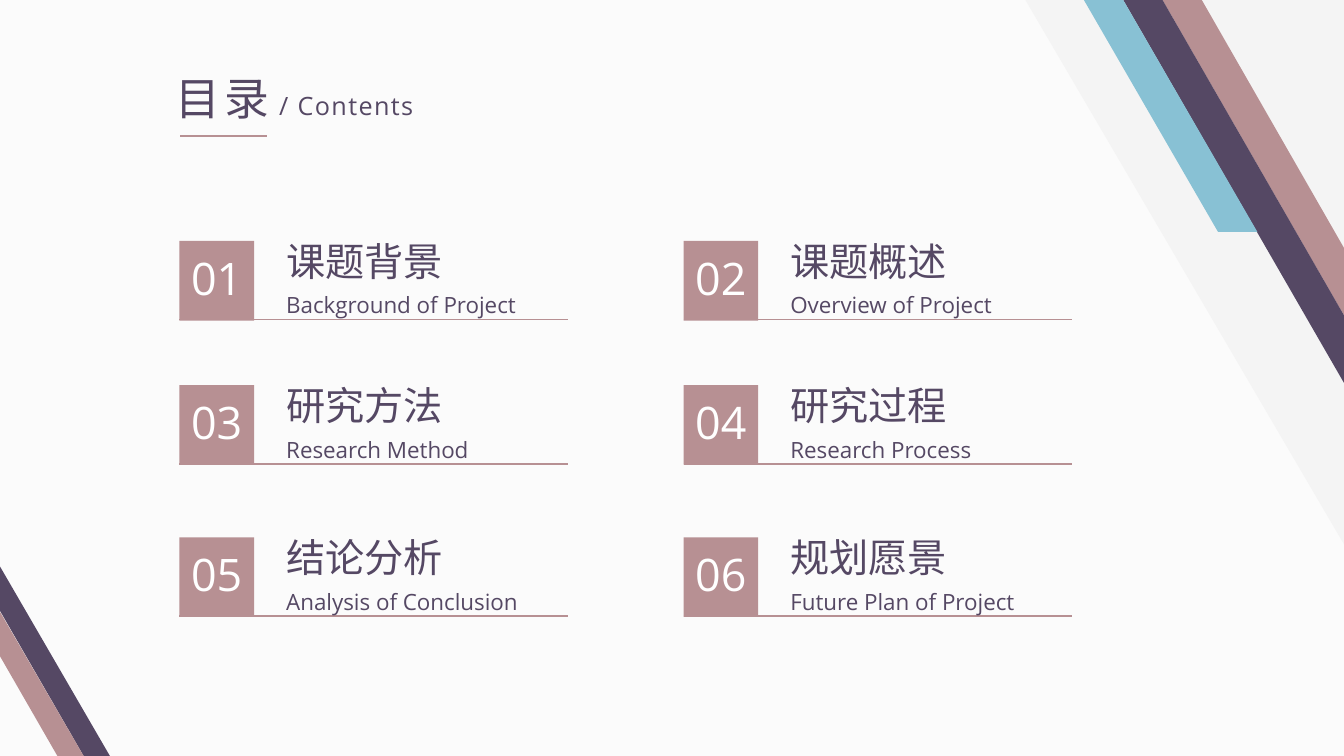
"""Build a contents slide with six numbered sections and diagonal corner bands."""
import pptx
import pptx.dml.color
import pptx.enum.shapes
import pptx.enum.text
import pptx.oxml
import pptx.oxml.ns
import pptx.util

Inches = pptx.util.Inches
Pt = pptx.util.Pt
RGBColor = pptx.dml.color.RGBColor
Anchor = pptx.enum.text.MSO_ANCHOR
Align = pptx.enum.text.PP_ALIGN
AutoSize = pptx.enum.text.MSO_AUTO_SIZE

PAPER = RGBColor(0xFB, 0xFB, 0xFB)
PALE = RGBColor(0xF4, 0xF4, 0xF4)
ROSE = RGBColor(0xB7, 0x90, 0x93)
PLUM = RGBColor(0x55, 0x48, 0x64)
SKY = RGBColor(0x88, 0xC1, 0xD4)
WHITE = RGBColor(0xFF, 0xFF, 0xFF)
LATIN = "Open Sans"
CHINESE = "Noto Sans CJK SC"
WIDTH, HEIGHT = 13.33, 7.5


def write(shape, text, size, font, color=PLUM, anchor=Anchor.MIDDLE, spacing=0, fit=False):
    """Put one formatted line of text into a shape and return its paragraph."""
    frame = shape.text_frame
    frame.text = text
    frame.vertical_anchor = anchor
    frame.word_wrap = not fit
    frame.auto_size = AutoSize.SHAPE_TO_FIT_TEXT if fit else AutoSize.NONE
    paragraph = frame.paragraphs[0]
    paragraph.alignment = Align.LEFT
    run = paragraph.runs[0]
    run.font.size = Pt(size)
    run.font.name = font
    run.font.color.rgb = color
    properties = run.font._element
    if spacing:
        properties.set("spc", str(spacing * 100))
    if font != LATIN:
        east_asian = pptx.oxml.parse_xml(
            f'<a:ea {pptx.oxml.ns.nsdecls("a")} typeface="{CHINESE}"/>')
        properties.find(pptx.oxml.ns.qn("a:latin")).addnext(east_asian)
    return paragraph


def rule(shapes, left, right, y, weight):
    """Draw a horizontal rose line without a shadow."""
    line = shapes.add_connector(
        pptx.enum.shapes.MSO_CONNECTOR.STRAIGHT,
        Inches(left), Inches(y), Inches(right), Inches(y))
    line.line.color.rgb = ROSE
    line.line.width = Pt(weight)
    line._element.spPr.append(
        pptx.oxml.parse_xml(f'<a:effectLst {pptx.oxml.ns.nsdecls("a")}/>'))


deck = pptx.Presentation()
deck.slide_width = Inches(WIDTH)
deck.slide_height = Inches(HEIGHT)
slide = deck.slides.add_slide(deck.slide_layouts[5])
shapes = slide.shapes
slide.background.fill.solid()
slide.background.fill.fore_color.rgb = PAPER

bands = [
    (PALE, [(WIDTH, 5.4), (10.17, 0), (WIDTH, 0)]),
    (ROSE, [(11.53, 0), (11.92, 0), (WIDTH, 2.46), (WIDTH, 3.13)]),
    (PLUM, [(11.14, 0), (11.53, 0), (WIDTH, 3.13), (WIDTH, 3.8)]),
    (SKY, [(10.75, 0), (11.14, 0), (12.47, 2.3), (12.08, 2.3)]),
    (PLUM, [(0, 5.62), (1.09, HEIGHT), (0.83, HEIGHT), (0, 6.06)]),
    (ROSE, [(0, 6.07), (0.83, HEIGHT), (0.57, HEIGHT), (0, 6.51)]),
]
for color, corners in bands:
    points = [(Inches(x), Inches(y)) for x, y in corners]
    outline = shapes.build_freeform(*points[0])
    outline.add_line_segments(points[1:], close=True)
    band = outline.convert_to_shape()
    band.fill.solid()
    band.fill.fore_color.rgb = color
    band.line.fill.background()
    band.shadow.inherit = False

title = shapes.title
title.left, title.top = Inches(1.64), Inches(0.65)
title.width, title.height = Inches(1.18), Inches(0.64)
write(title, "目录", 32, CHINESE, anchor=Anchor.TOP, spacing=3, fit=True)
rule(shapes, 1.79, 2.65, 1.35, 1.5)
subtitle = shapes.add_textbox(Inches(2.67), Inches(0.85), Inches(1.56), Inches(0.4))
write(subtitle, "/ Contents", 18, LATIN, anchor=Anchor.TOP, spacing=1, fit=True)

sections = [
    ("课题背景", "Background of Project"),
    ("课题概述", "Overview of Project"),
    ("研究方法", "Research Method"),
    ("研究过程", "Research Process"),
    ("结论分析", "Analysis of Conclusion"),
    ("规划愿景", "Future Plan of Project"),
]
column_lefts = [1.78, 6.78]
row_tops = [2.39, 3.82, 5.33]
for index, (heading, translation) in enumerate(sections):
    row, column = divmod(index, len(column_lefts))
    left, top = column_lefts[column], row_tops[row]

    badge = shapes.add_shape(
        pptx.enum.shapes.MSO_SHAPE.RECTANGLE,
        Inches(left), Inches(top), Inches(0.74), Inches(0.79))
    badge.fill.solid()
    badge.fill.fore_color.rgb = ROSE
    badge.line.fill.background()
    badge.shadow.inherit = False
    number = write(badge, f"{index + 1:02d}", 32, LATIN, WHITE)
    number.alignment = Align.CENTER
    number.line_spacing = 0.9
    inner = badge.text_frame
    inner.margin_left = inner.margin_right = inner.margin_top = inner.margin_bottom = 0

    rule(shapes, left, left + 3.85, top + 0.78, 1.25)

    label = shapes.add_textbox(
        Inches(left + 0.96), Inches(top - 0.09), Inches(1.77), Inches(0.57))
    write(label, heading, 28, "Arial", fit=True)
    gloss = shapes.add_textbox(
        Inches(left + 0.96), Inches(top + 0.45), Inches(3.55), Inches(0.29))
    write(gloss, translation, 16, LATIN).line_spacing = 1.3

deck.save("out.pptx")
